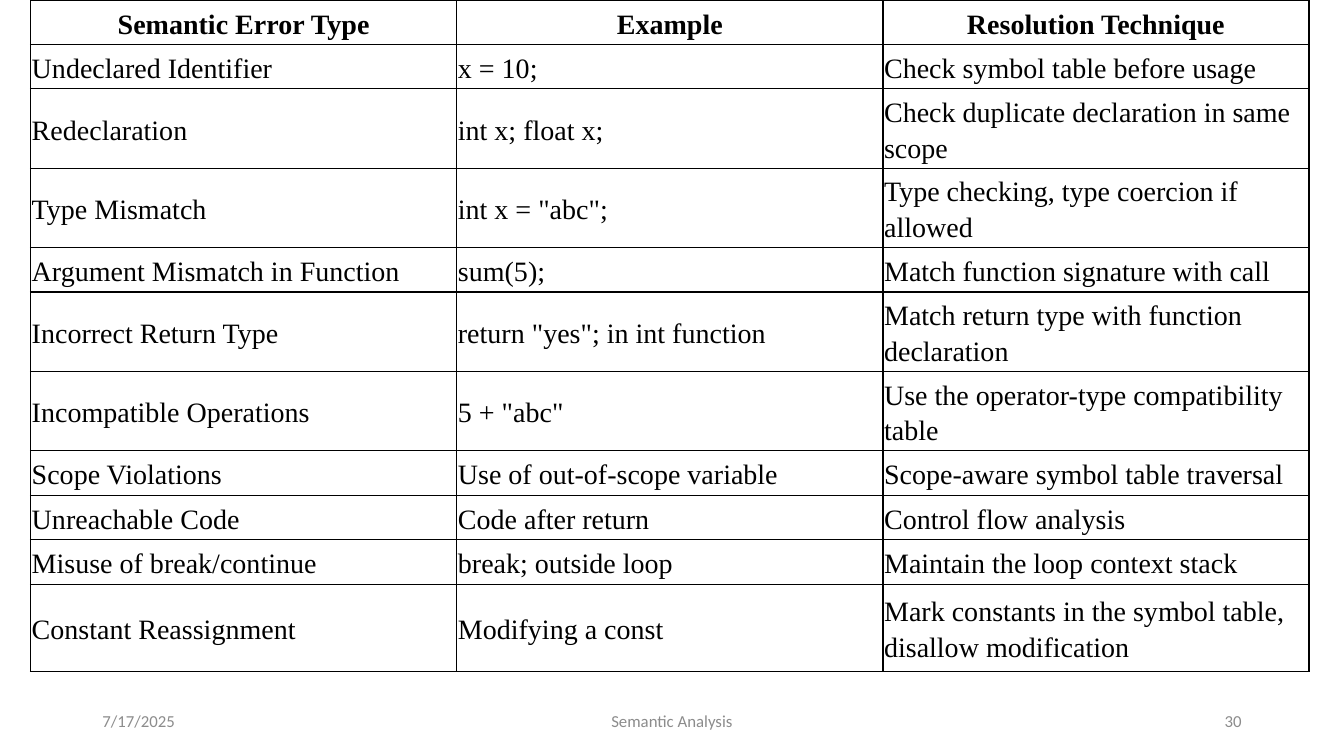
from lxml import etree
from pptx import Presentation
from pptx import util as u
from pptx.dml import color
from pptx.enum import text
from pptx.oxml import ns

BLACK = color.RGBColor(0x00, 0x00, 0x00)
GREY = color.RGBColor(0x8C, 0x8C, 0x8C)

SINGLE, DOUBLE, LAST = 1.12, 2.0, 2.21

ERROR_ROWS = [
    (SINGLE, "Semantic Error Type", "Example", "Resolution Technique"),
    (SINGLE, "Undeclared Identifier", "x = 10;", "Check symbol table before usage"),
    (DOUBLE, "Redeclaration", "int x; float x;", "Check duplicate declaration in same scope"),
    (DOUBLE, "Type Mismatch", 'int x = "abc";', "Type checking, type coercion if allowed"),
    (SINGLE, "Argument Mismatch in Function", "sum(5);", "Match function signature with call"),
    (DOUBLE, "Incorrect Return Type", 'return "yes"; in int function', "Match return type with function declaration"),
    (DOUBLE, "Incompatible Operations", '5 + "abc"', "Use the operator-type compatibility table"),
    (SINGLE, "Scope Violations", "Use of out-of-scope variable", "Scope-aware symbol table traversal"),
    (SINGLE, "Unreachable Code", "Code after return", "Control flow analysis"),
    (SINGLE, "Misuse of break/continue", "break; outside loop", "Maintain the loop context stack"),
    (LAST, "Constant Reassignment", "Modifying a const", "Mark constants in the symbol table, disallow modification"),
]

FOOTERS = [
    ("7/17/2025", 2.33, 7.62, text.PP_ALIGN.LEFT),
    ("Semantic Analysis", 11.22, 11.43, text.PP_ALIGN.CENTER),
    ("30", 23.92, 7.62, text.PP_ALIGN.RIGHT),
]


def style_paragraph(paragraph, font_name, size, font_color, alignment, bold=False):
    """Align a paragraph and format its runs."""
    paragraph.alignment = alignment
    for run in paragraph.runs:
        run.font.name = font_name
        run.font.size = u.Pt(size)
        run.font.bold = bold
        run.font.color.rgb = font_color


def add_borders(cell):
    """Draw a one-point line on all four sides of a cell."""
    properties = cell._tc.get_or_add_tcPr()
    for side in ("a:lnL", "a:lnR", "a:lnT", "a:lnB"):
        line = etree.SubElement(properties, ns.qn(side), w=str(u.Pt(1)))
        fill = etree.SubElement(line, ns.qn("a:solidFill"))
        etree.SubElement(fill, ns.qn("a:srgbClr"), val=str(BLACK))


def fill_cell(cell, wording, is_header):
    """Write and format one table cell."""
    add_borders(cell)
    cell.fill.background()
    cell.vertical_anchor = text.MSO_ANCHOR.MIDDLE
    cell.margin_left = cell.margin_right = u.Cm(0.03)
    cell.margin_top = cell.margin_bottom = u.Cm(0.03)
    cell.text_frame.text = wording
    paragraph = cell.text_frame.paragraphs[0]
    paragraph.line_spacing = 1.15
    paragraph.space_after = u.Pt(8)
    alignment = text.PP_ALIGN.CENTER if is_header else text.PP_ALIGN.LEFT
    style_paragraph(paragraph, "Times New Roman", 20, BLACK, alignment, is_header)


def add_error_table(slide):
    """Add the table of semantic errors, its row heights fitted to the wording."""
    total_height = sum(height for height, *_ in ERROR_ROWS)
    shape = slide.shapes.add_table(
        len(ERROR_ROWS), 3, u.Cm(0.77), u.Cm(0), u.Cm(32.22), u.Cm(total_height)
    )
    table = shape.table
    table.first_row = False
    table.horz_banding = False
    for column in table.columns:
        column.width = u.Cm(10.74)
    for row_index, (height, *wordings) in enumerate(ERROR_ROWS):
        table.rows[row_index].height = u.Cm(height)
        for column_index, wording in enumerate(wordings):
            fill_cell(table.cell(row_index, column_index), wording, row_index == 0)


def add_footer(slide, wording, left, width, alignment):
    """Add one grey footer text."""
    shape = slide.shapes.add_textbox(u.Cm(left), u.Cm(17.65), u.Cm(width), u.Cm(1.01))
    text_frame = shape.text_frame
    text_frame.word_wrap = True
    text_frame.vertical_anchor = text.MSO_ANCHOR.MIDDLE
    text_frame.text = wording
    style_paragraph(text_frame.paragraphs[0], "Calibri", 12, GREY, alignment)


def main():
    """Build and save the slide."""
    presentation = Presentation()
    presentation.slide_width = u.Cm(33.87)
    presentation.slide_height = u.Cm(19.05)
    slide = presentation.slides.add_slide(presentation.slide_layouts[6])
    add_error_table(slide)
    for footer in FOOTERS:
        add_footer(slide, *footer)
    presentation.save("out.pptx")


if __name__ == "__main__":
    main()
